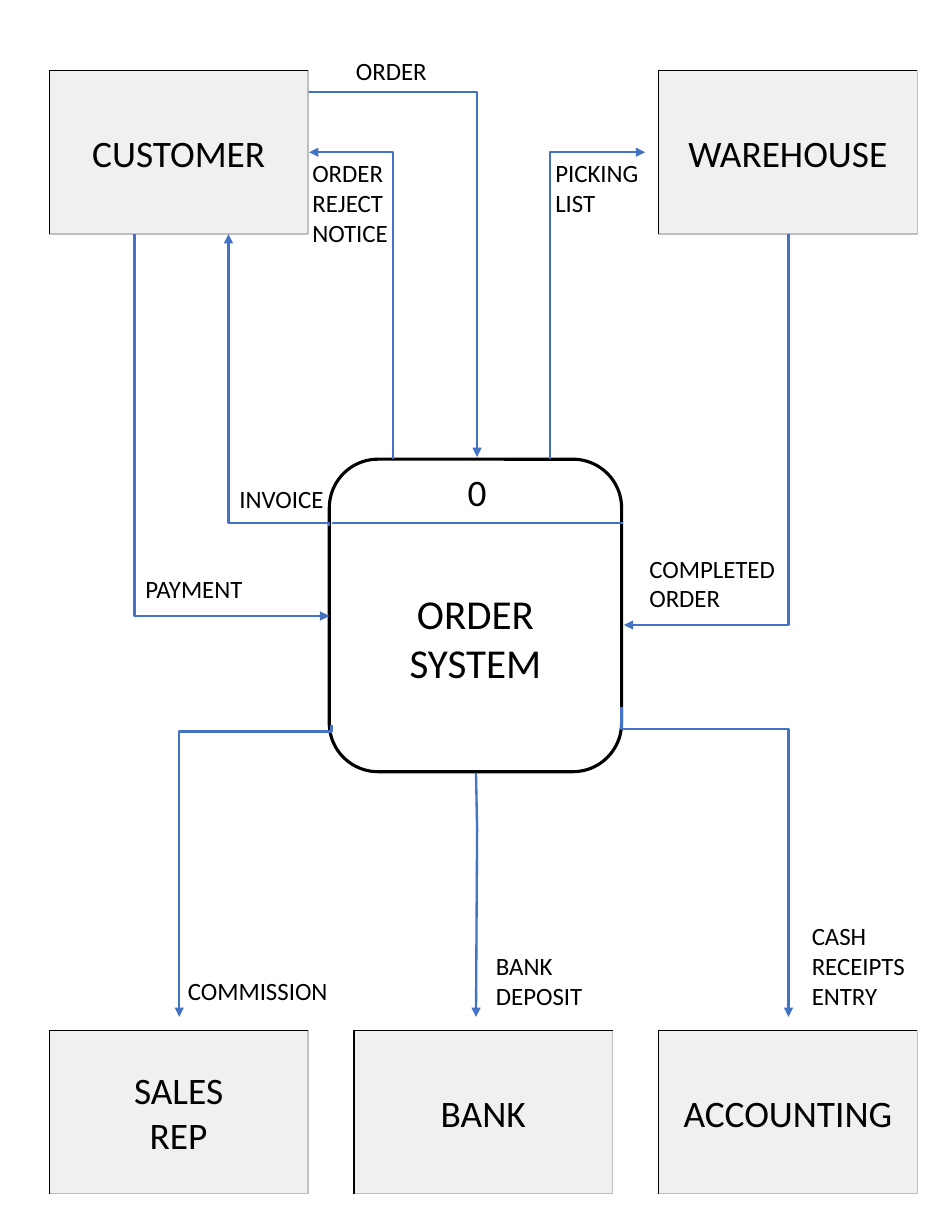
from typing import NamedTuple

from lxml.etree import SubElement
from pptx import Presentation
from pptx.dml.color import RGBColor
from pptx.enum.shapes import MSO_CONNECTOR, MSO_SHAPE
from pptx.enum.text import MSO_ANCHOR, MSO_AUTO_SIZE, PP_ALIGN
from pptx.oxml.ns import qn
from pptx.util import Inches, Pt

BLACK = RGBColor(0x00, 0x00, 0x00)
WHITE = RGBColor(0xFF, 0xFF, 0xFF)
PANEL = RGBColor(0xF0, 0xF0, 0xF0)
EDGE = RGBColor(0xBF, 0xBF, 0xBF)
FLOW_BLUE = RGBColor(0x44, 0x72, 0xC4)
FONT = "Calibri"
ENTITY_WIDTH, ENTITY_HEIGHT = 2.31, 1.46
LEFT, MIDDLE, RIGHT = 0.44, 3.16, 5.88
TOP, BOTTOM = 0.63, 9.2


class Entity(NamedTuple):
    name: str
    left: float
    top: float


class Flow(NamedTuple):
    start: tuple[float, float]
    end: tuple[float, float]
    turn_y: float | None = None


class Label(NamedTuple):
    text: str
    left: float
    top: float
    width: float
    height: float


ENTITIES = [
    Entity("WAREHOUSE", RIGHT, TOP),
    Entity("CUSTOMER", LEFT, TOP),
    Entity("BANK", MIDDLE, BOTTOM),
    Entity("ACCOUNTING", RIGHT, BOTTOM),
    Entity("SALES\nREP", LEFT, BOTTOM),
]
FLOWS = [
    Flow((4.91, 4.1), (5.76, 1.36)),
    Flow((2.76, 0.82), (4.26, 4.08), 0.82),
    Flow((3.51, 4.1), (2.76, 1.36)),
    Flow((5.55, 6.31), (7.04, 9.08), 6.51),
    Flow((2.96, 6.47), (1.6, 9.08), 6.53),
    Flow((7.04, 2.09), (5.57, 5.58)),
    Flow((2.94, 4.7), (2.04, 2.09), 4.67),
    Flow((1.2, 2.09), (2.94, 5.5)),
]
LABELS = [
    Label("PICKING\nLIST", 4.86, 1.36, 0.95, 0.64),
    Label("ORDER\nREJECT\nNOTICE", 2.69, 1.36, 0.88, 0.91),
    Label("ORDER", 3.08, 0.45, 0.85, 0.37),
    Label("COMPLETED\nORDER", 5.7, 4.89, 1.34, 0.64),
    Label("INVOICE", 2.04, 4.27, 0.96, 0.37),
    Label("PAYMENT", 1.2, 5.07, 1.08, 0.37),
    Label("COMMISSION", 1.58, 8.66, 1.46, 0.37),
    Label("BANK\nDEPOSIT", 4.33, 8.44, 0.98, 0.64),
    Label("CASH\nRECEIPTS\nENTRY", 7.15, 8.17, 1.04, 0.91),
]


def write(frame, text: str, size: float, align: PP_ALIGN) -> None:
    for index, line in enumerate(text.split("\n")):
        paragraph = frame.add_paragraph() if index else frame.paragraphs[0]
        paragraph.alignment = align
        run = paragraph.add_run()
        run.text = line
        run.font.size = Pt(size)
        run.font.name = FONT
        run.font.color.rgb = BLACK


def add_box(shapes, kind, bounds, fill, line, weight, text, size, insets) -> None:
    box = shapes.add_shape(kind, *map(Inches, bounds))
    box.shadow.inherit = False
    box.fill.solid()
    box.fill.fore_color.rgb = fill
    box.line.color.rgb = line
    box.line.width = Pt(weight)
    frame = box.text_frame
    frame.word_wrap = True
    frame.vertical_anchor = MSO_ANCHOR.MIDDLE
    frame.margin_left = frame.margin_right = Inches(0.15)
    frame.margin_top, frame.margin_bottom = map(Inches, insets)
    write(frame, text, size, PP_ALIGN.CENTER)


def add_entity(shapes, entity: Entity) -> None:
    left, top = entity.left, entity.top
    right, bottom = left + ENTITY_WIDTH, top + ENTITY_HEIGHT
    add_box(shapes, MSO_SHAPE.RECTANGLE, (left, top, ENTITY_WIDTH, ENTITY_HEIGHT),
            PANEL, EDGE, 0.75, entity.name, 24, (0.07, 0.07))
    builder = shapes.build_freeform(Inches(left), Inches(bottom))
    builder.add_line_segments(
        [(Inches(left), Inches(top)), (Inches(right), Inches(top))], close=False)
    dark_edge = builder.convert_to_shape()
    dark_edge.shadow.inherit = False
    dark_edge.fill.background()
    dark_edge.line.color.rgb = BLACK
    dark_edge.line.width = Pt(1)


def add_line(shapes, start, end, arrow: bool, kind=MSO_CONNECTOR.STRAIGHT):
    line = shapes.add_connector(kind, *map(Inches, (*start, *end)))
    line.line.color.rgb = FLOW_BLUE
    line.line.width = Pt(1.5)
    properties = line._element.spPr
    if arrow:
        SubElement(properties.find(qn("a:ln")), qn("a:tailEnd"), type="triangle")
    SubElement(properties, qn("a:effectLst"))
    return line


def add_flow(shapes, flow: Flow) -> None:
    (x1, y1), (x2, y2) = flow.start, flow.end
    dx, dy = x2 - x1, y2 - y1
    line = add_line(shapes, flow.start, flow.end, True, MSO_CONNECTOR.ELBOW)
    line.left = Inches((x1 + x2 - abs(dy)) / 2)
    line.top = Inches((y1 + y2 - abs(dx)) / 2)
    line.width, line.height = Inches(abs(dy)), Inches(abs(dx))
    quarter_turns = 3 if dx * dy > 0 else 1
    flip_h = dy > 0 if quarter_turns == 3 else dy < 0
    flip_v = dx < 0 if quarter_turns == 3 else dx > 0
    transform = line._element.spPr.find(qn("a:xfrm"))
    transform.set("rot", str(quarter_turns * 5400000))
    transform.set("flipH", str(int(flip_h)))
    transform.set("flipV", str(int(flip_v)))
    geometry = line._element.spPr.find(qn("a:prstGeom"))
    if flow.turn_y is None:
        geometry.set("prst", "bentConnector2")
        return
    bend = max(100, round((flow.turn_y - y1) / dy * 100000))
    adjustments = geometry.find(qn("a:avLst"))
    if adjustments is None:
        adjustments = SubElement(geometry, qn("a:avLst"))
    SubElement(adjustments, qn("a:gd"), name="adj1", fmla=f"val {bend}")


def add_label(shapes, label: Label, size: float = 16,
              align: PP_ALIGN = PP_ALIGN.LEFT, wrap: bool = False) -> None:
    frame = shapes.add_textbox(*map(Inches, label[1:])).text_frame
    frame.word_wrap = wrap
    frame.auto_size = MSO_AUTO_SIZE.SHAPE_TO_FIT_TEXT
    write(frame, label.text, size, align)


presentation = Presentation()
presentation.slide_width = Inches(8.5)
presentation.slide_height = Inches(11)
shapes = presentation.slides.add_slide(presentation.slide_layouts[6]).shapes

for entity in ENTITIES:
    add_entity(shapes, entity)
add_box(shapes, MSO_SHAPE.ROUNDED_RECTANGLE, (2.94, 4.1, 2.61, 2.79),
        WHITE, BLACK, 2, "ORDER\nSYSTEM", 26.4, (0.4, 0))
add_line(shapes, (2.96, 4.67), (5.56, 4.67), False)
add_label(shapes, Label("0", 3.48, 4.14, 1.56, 0.5), 24, PP_ALIGN.CENTER, True)
for flow in FLOWS:
    add_flow(shapes, flow)
add_line(shapes, (4.25, 6.9), (4.26, 7.4), False)
add_line(shapes, (4.26, 7.4), (4.25, 9.08), True)
for label in LABELS:
    add_label(shapes, label)

presentation.save("out.pptx")
